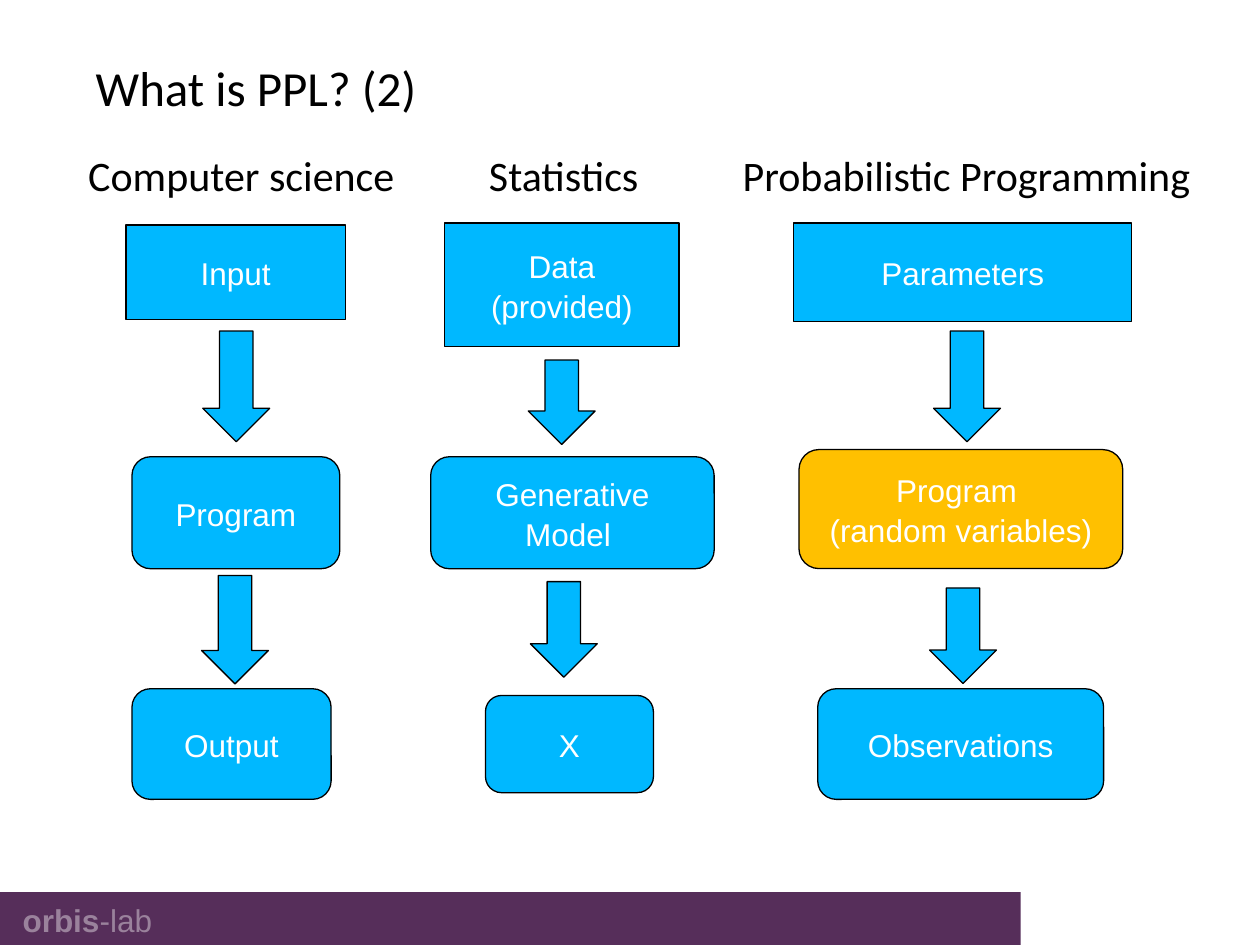
from dataclasses import dataclass

from lxml.etree import SubElement
from pptx import Presentation
from pptx.dml.color import RGBColor
from pptx.enum.shapes import MSO_SHAPE
from pptx.enum.text import MSO_ANCHOR, PP_ALIGN
from pptx.oxml.ns import qn
from pptx.util import Pt

BLUE = RGBColor(0x00, 0xB8, 0xFF)
AMBER = RGBColor(0xFF, 0xC0, 0x00)
PURPLE = RGBColor(0x56, 0x2E, 0x5A)
MAUVE = RGBColor(0x9A, 0x82, 0x9C)
BLACK = RGBColor(0x00, 0x00, 0x00)
WHITE = RGBColor(0xFF, 0xFF, 0xFF)

ARROW_WIDTH = 38.2
ARROW_HEAD = 0.5
CORNER = 0.167
NO_MARGINS = dict.fromkeys(
    ("margin_left", "margin_top", "margin_right", "margin_bottom"), 0)


@dataclass
class Stage:
    left: float
    top: float
    width: float
    height: float
    lines: tuple[str, ...]
    fill: RGBColor = BLUE
    outline: MSO_SHAPE = MSO_SHAPE.ROUNDED_RECTANGLE


@dataclass
class Arrow:
    left: float
    top: float
    height: float


@dataclass
class Flow:
    stages: tuple[Stage, ...]
    arrows: tuple[Arrow, ...]


BOX = MSO_SHAPE.RECTANGLE
FLOWS = (
    # Computer science
    Flow((Stage(72, 128.6, 125.4, 54, ("Input",), outline=BOX),
          Stage(75.4, 261, 118.8, 64, ("Program",)),
          Stage(75.4, 393.6, 113.8, 63.2, ("Output",))),
         (Arrow(115.9, 189.2, 63.2), Arrow(115.2, 328.9, 61.9))),
    # Statistics
    Flow((Stage(254.1, 127.4, 134, 70.6, ("Data (provided)",), outline=BOX),
          Stage(246.1, 261, 162, 64, ("Generative Model ",)),
          Stage(277.4, 397.4, 96, 55.6, ("X",))),
         (Arrow(301.9, 205.8, 48.2), Arrow(303.1, 332.4, 54.6))),
    # Probabilistic programming
    Flow((Stage(453.6, 127.4, 193, 56.2, ("Parameters",), outline=BOX),
          Stage(456.6, 256.9, 185, 68,
                ("Program ", "(random variables)"), AMBER),
          Stage(467.3, 393.6, 163.4, 63.2, ("Observations",))),
         (Arrow(533.5, 189.2, 63.2), Arrow(531.2, 336, 54.6))),
)


def set_all(target, values: dict) -> None:
    for attribute, value in values.items():
        setattr(target, attribute, value)


def add_run(paragraph, text: str, size: float, font: str,
            color: RGBColor, bold: bool = False) -> None:
    run = paragraph.add_run()
    run.text = text
    set_all(run.font, {"size": Pt(size), "name": font, "bold": bold})
    run.font.color.rgb = color


def add_figure(slide, outline: MSO_SHAPE, left: float, top: float,
               width: float, height: float, fill: RGBColor,
               bordered: bool = True):
    figure = slide.shapes.add_shape(
        outline, Pt(left), Pt(top), Pt(width), Pt(height))
    figure.shadow.inherit = False
    figure.fill.solid()
    figure.fill.fore_color.rgb = fill
    if bordered:
        figure.line.color.rgb = BLACK
        figure.line.width = Pt(0.75)
    else:
        figure.line.fill.background()
    return figure


def add_stage(slide, stage: Stage) -> None:
    figure = add_figure(slide, stage.outline, stage.left, stage.top,
                        stage.width, stage.height, stage.fill)
    if stage.outline == MSO_SHAPE.ROUNDED_RECTANGLE:
        figure.adjustments[0] = CORNER
    frame = figure.text_frame
    set_all(frame, {"word_wrap": True, "vertical_anchor": MSO_ANCHOR.MIDDLE})
    for index, line in enumerate(stage.lines):
        paragraph = frame.add_paragraph() if index else frame.paragraphs[0]
        set_all(paragraph, {"alignment": PP_ALIGN.CENTER,
                            "line_spacing": 1.05})
        add_run(paragraph, line, 18, "Arial", WHITE)


def add_arrow(slide, arrow: Arrow) -> None:
    figure = add_figure(slide, MSO_SHAPE.DOWN_ARROW, arrow.left, arrow.top,
                        ARROW_WIDTH, arrow.height, BLUE)
    figure.adjustments[0] = 0.5
    figure.adjustments[1] = ARROW_HEAD


def add_text(slide, left: float, top: float, width: float, height: float,
             frame_format: dict):
    frame = slide.shapes.add_textbox(
        Pt(left), Pt(top), Pt(width), Pt(height)).text_frame
    set_all(frame, {"word_wrap": True, **frame_format})
    return frame.paragraphs[0]


def add_tab_stops(paragraph, positions: tuple[float, ...]) -> None:
    tab_list = SubElement(paragraph._p.get_or_add_pPr(), qn("a:tabLst"))
    for position in positions:
        SubElement(tab_list, qn("a:tab"), pos=str(int(Pt(position))), algn="l")


deck = Presentation()
set_all(deck, {"slide_width": Pt(720), "slide_height": Pt(540)})
slide = deck.slides.add_slide(deck.slide_layouts[6])

# Footer band
add_figure(slide, BOX, 0, 509.8, 583.2, 30.2, PURPLE, bordered=False)
footer = add_text(slide, 5.8, 511.2, 152.6, 28.8, {})
add_run(footer, "orbis", 18, "Arial", MAUVE, bold=True)
add_run(footer, "-lab", 18, "Arial", MAUVE)

# Three flows
for flow in FLOWS:
    for stage in flow.stages:
        add_stage(slide, stage)
    for arrow in flow.arrows:
        add_arrow(slide, arrow)

# Title and column headings
heading_format = {"vertical_anchor": MSO_ANCHOR.MIDDLE, **NO_MARGINS}
title = add_text(slide, 54.7, 6.5, 632.2, 86.4, heading_format)
add_run(title, "What is PPL? (2)", 28, "Calibri", BLACK)
headings = add_text(slide, 50.4, 66.2, 646.6, 67, heading_format)
add_tab_stops(headings, (229, 374))
add_run(headings, "Computer science\tStatistics\tProbabilistic Programming",
        24, "Calibri", BLACK)

deck.save("out.pptx")
